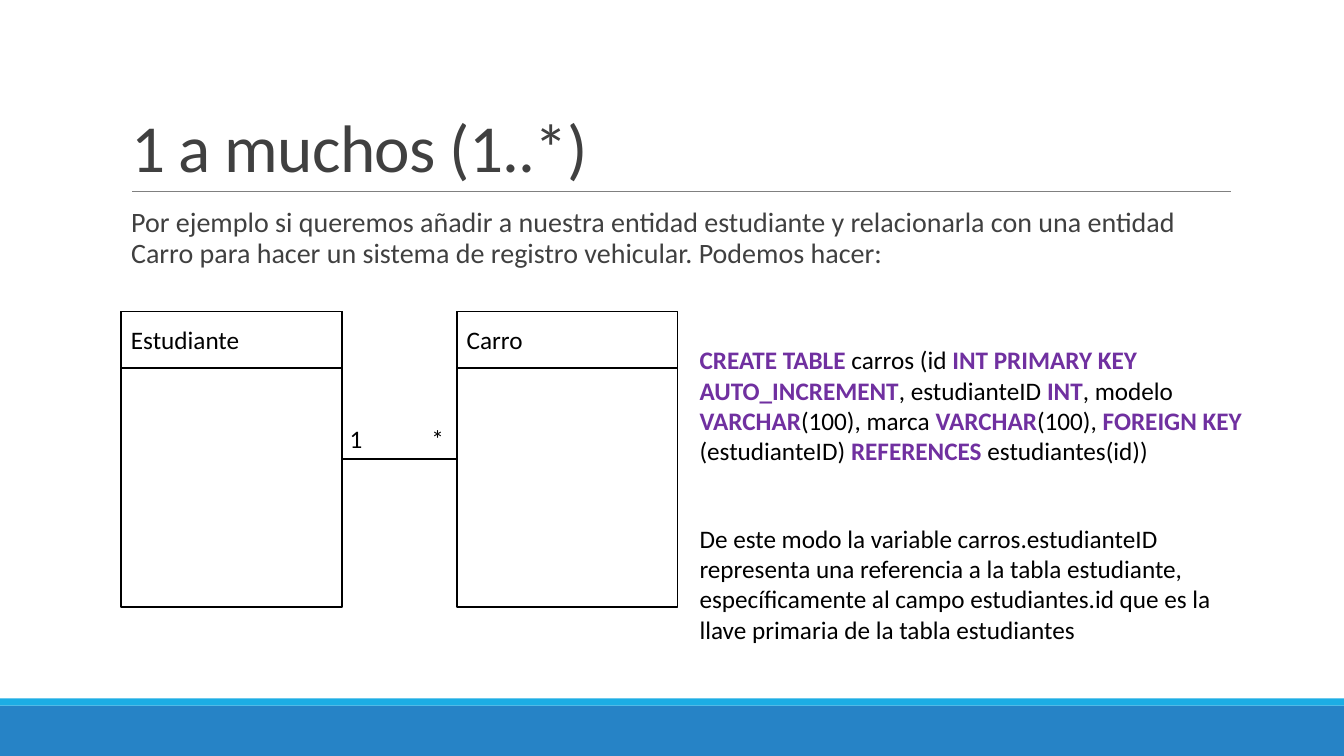
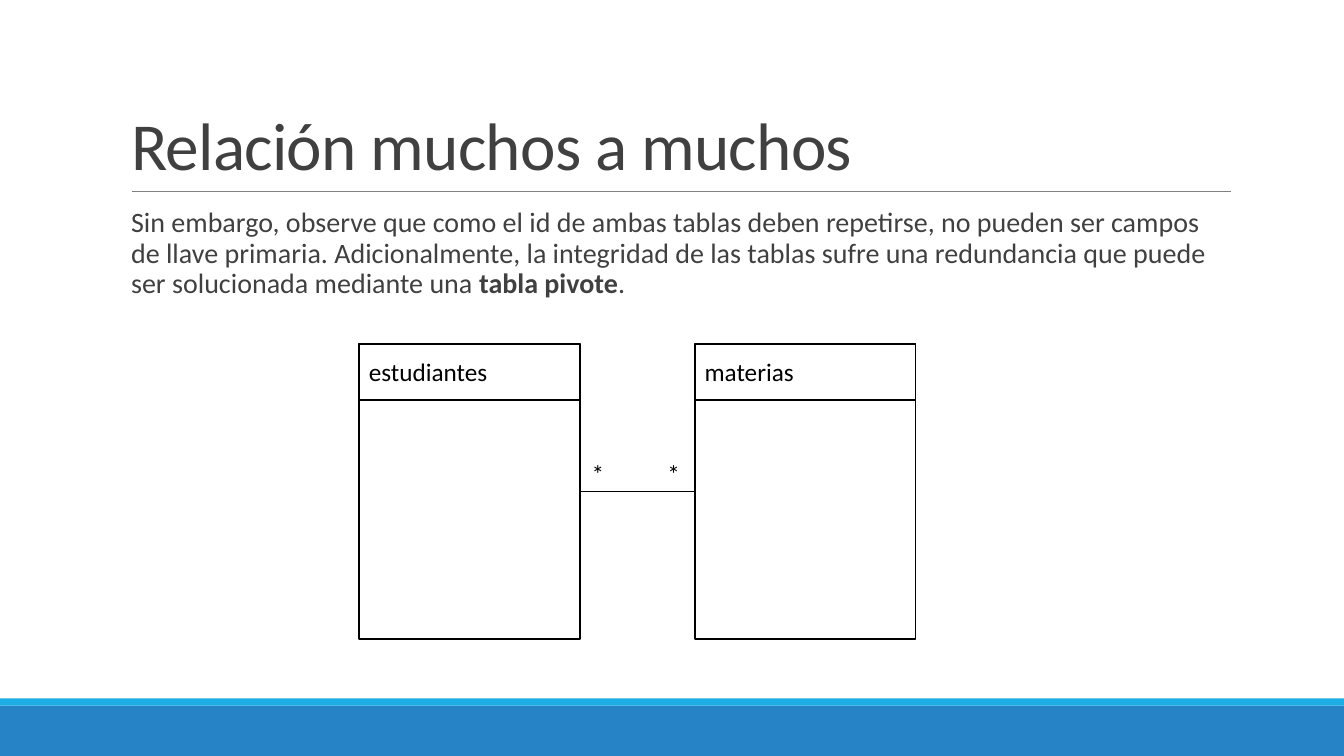
from pptx import Presentation
from pptx.dml.color import RGBColor
from pptx.enum.shapes import MSO_CONNECTOR, MSO_SHAPE
from pptx.enum.text import MSO_ANCHOR, MSO_AUTO_SIZE, PP_ALIGN
from pptx.oxml.ns import qn
from pptx.util import Inches, Pt
from lxml import etree

COLORS = {"band": "2683C6", "stripe": "1CADE4", "rule": "808080", "heading": "404040",
          "ink": "000000", "paper": "FFFFFF", "keyword": "7030A0"}

# Text styles: frame and paragraph values, then size and colours
STYLES = {
    "title": {"frame": {"vertical_anchor": MSO_ANCHOR.BOTTOM},
              "paragraph": {"line_spacing": 0.85},
              "size": 48, "color": "heading", "strong": "heading"},
    "body": {"frame": {"vertical_anchor": MSO_ANCHOR.TOP, "margin_right": 0},
             "paragraph": {"line_spacing": 0.9, "space_before": Pt(12), "space_after": Pt(2)},
             "size": 20, "color": "heading", "strong": "heading"},
    "entity": {"frame": {"vertical_anchor": MSO_ANCHOR.MIDDLE},
               "paragraph": {}, "size": 18, "color": "ink", "strong": "ink"},
    "note": {"frame": {"vertical_anchor": MSO_ANCHOR.TOP},
             "paragraph": {}, "size": 18, "color": "ink", "strong": "keyword"},
}

# Entity diagram measures, in inches
ENTITY_W, ENTITY_H, HEADER_H, ENTITY_STEP = 2.19, 2.93, 0.56, 3.33

# Text between bars is emphasised
SLIDES = [
    {"title": "1 a muchos (1..*)", "title_top": 0.31,
     "body": "Por ejemplo si queremos añadir a nuestra entidad estudiante y relacionarla con "
             "una entidad Carro para hacer un sistema de registro vehicular. Podemos hacer:",
     "entities": ["Estudiante", "Carro"], "origin": (1.2, 3.09),
     "multiplicity": "1\t*", "multiplicity_at": (3.37, 4.15), "tab": 0.81,
     "notes": [
         (3.37, 6.2, "|CREATE TABLE |carros (id |INT PRIMARY KEY AUTO_INCREMENT|, estudianteID "
                     "|INT|, modelo |VARCHAR|(100), marca |VARCHAR|(100), |FOREIGN KEY "
                     "|(estudianteID) |REFERENCES |estudiantes(id))"),
         (5.14, 5.46, "De este modo la variable carros.estudianteID representa una referencia a "
                      "la tabla estudiante, específicamente al campo estudiantes.id que es la "
                      "llave primaria de la tabla estudiantes")]},
    {"title": "Relación muchos a muchos", "title_top": 0.29,
     "body": "Sin embargo, observe que como el id de ambas tablas deben repetirse, no pueden ser "
             "campos de llave primaria. Adicionalmente, la integridad de las tablas sufre una "
             "redundancia que puede ser solucionada mediante una |tabla pivote|.",
     "entities": ["estudiantes", "materias"], "origin": (3.56, 3.41),
     "multiplicity": "*\t*", "multiplicity_at": (5.77, 4.5), "tab": 0.75,
     "notes": []},
]


def write(holder, text, style_name):
    style = STYLES[style_name]
    frame = holder.text_frame
    paragraph = frame.paragraphs[0]
    frame_values = {"word_wrap": True, "auto_size": MSO_AUTO_SIZE.NONE, **style["frame"]}
    paragraph_values = {"alignment": PP_ALIGN.LEFT, **style["paragraph"]}
    for target, values in ((frame, frame_values), (paragraph, paragraph_values)):
        for key, value in values.items():
            setattr(target, key, value)
    for index, part in enumerate(text.split("|")):
        if part:
            strong = index % 2 == 1
            run = paragraph.add_run()
            run.text = part
            for key, value in {"name": "Calibri", "size": Pt(style["size"]), "bold": strong}.items():
                setattr(run.font, key, value)
            color = style["strong"] if strong else style["color"]
            run.font.color.rgb = RGBColor.from_string(COLORS[color])
    return paragraph


def draw(slide, kind, box, color, width=0, fill=None):
    lengths = [Inches(value) for value in box]
    if kind == "line":
        item = slide.shapes.add_connector(MSO_CONNECTOR.STRAIGHT, *lengths)
        etree.SubElement(item._element.spPr, qn("a:effectLst"))
    else:
        item = slide.shapes.add_shape(MSO_SHAPE.RECTANGLE, *lengths)
        item.shadow.inherit = False
        item.fill.solid()
        item.fill.fore_color.rgb = RGBColor.from_string(COLORS[fill or color])
    if width:
        item.line.color.rgb = RGBColor.from_string(COLORS[color])
        item.line.width = Pt(width)
    else:
        item.line.fill.background()
    return item


deck = Presentation()
deck.slide_width, deck.slide_height = Inches(13.33), Inches(7.5)

for content in SLIDES:
    slide = deck.slides.add_slide(deck.slide_layouts[1])

    # Bottom bands and title rule
    draw(slide, "box", (0, 7, 13.33, 0.5), "band")
    draw(slide, "box", (0, 6.93, 13.33, 0.07), "stripe")
    draw(slide, "line", (1.31, 1.9, 12.21, 1.9), "rule", 0.5)

    # Title and body
    title, body = slide.shapes.title, slide.placeholders[1]
    for holder, top, height in ((title, content["title_top"], 1.59), (body, 2.02, 4.4)):
        holder.left, holder.top = Inches(1.2), Inches(top)
        holder.width, holder.height = Inches(11), Inches(height)
    heading = write(title, content["title"], "title")
    heading.runs[0].font._element.set("spc", "-50")
    intro = write(body, content["body"], "body")._p.get_or_add_pPr()
    intro.set("marL", "0")
    intro.set("indent", "0")
    etree.SubElement(intro, qn("a:buNone"))

    # Entities with their header cells
    left, top = content["origin"]
    for index, entity in enumerate(content["entities"]):
        x = left + index * ENTITY_STEP
        draw(slide, "box", (x, top, ENTITY_W, ENTITY_H), "ink", 1.25, "paper")
        header = draw(slide, "box", (x, top, ENTITY_W, HEADER_H), "ink", 1.25, "paper")
        write(header, entity, "entity")

    # Relation and its multiplicity
    middle = top + ENTITY_H / 2
    draw(slide, "line", (left + ENTITY_W, middle, left + ENTITY_STEP, middle), "ink", 1)
    label_left, label_top = content["multiplicity_at"]
    multiplicity = slide.shapes.add_textbox(
        Inches(label_left), Inches(label_top), Inches(1.65), Inches(0.4))
    ends = write(multiplicity, content["multiplicity"], "note")._p.get_or_add_pPr()
    tabs = etree.SubElement(ends, qn("a:tabLst"))
    etree.SubElement(tabs, qn("a:tab"), pos=str(Inches(content["tab"])), algn="l")

    # SQL statement and explanation
    for note_top, note_width, text in content["notes"]:
        note = slide.shapes.add_textbox(
            Inches(6.84), Inches(note_top), Inches(note_width), Inches(1.31))
        write(note, text, "note")

deck.save("out.pptx")
